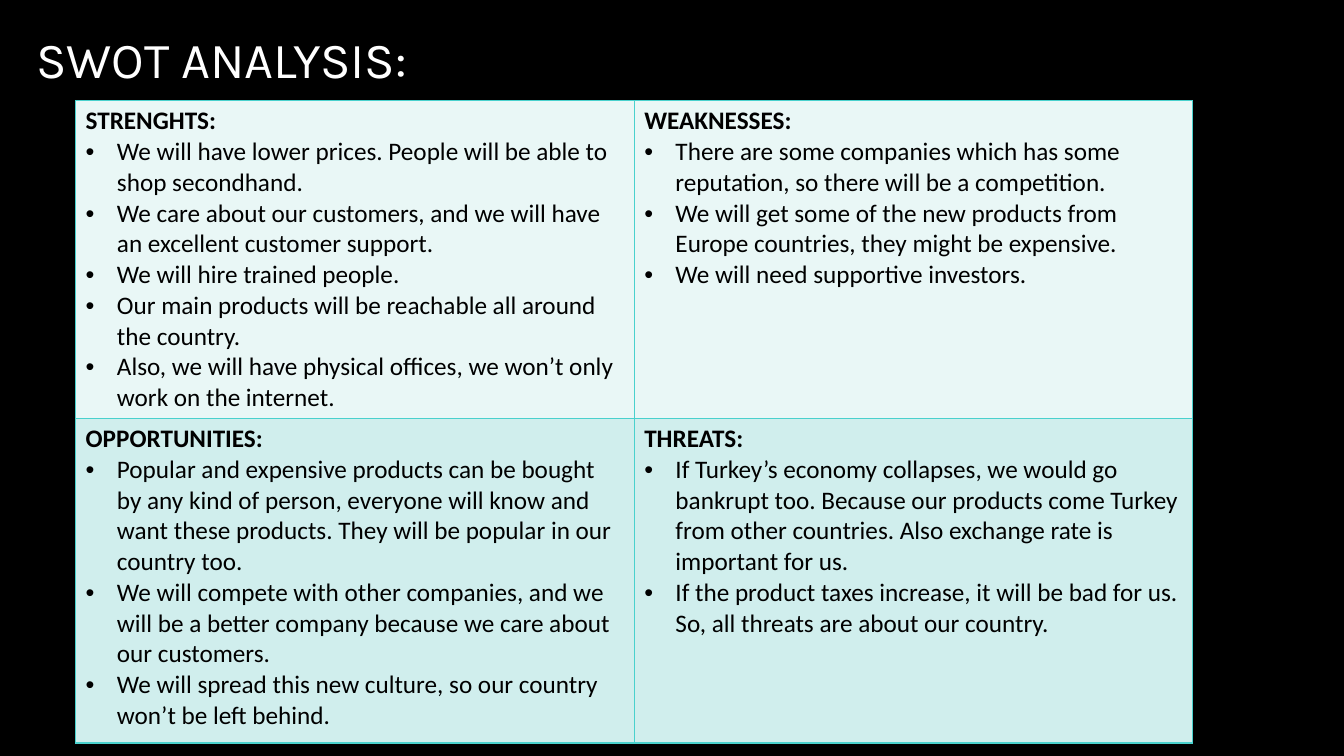
from pptx import Presentation
from pptx import util as u
from pptx.dml.color import RGBColor
from pptx.enum import text
from pptx.oxml.ns import qn
from lxml import etree

TITLE = "SWOT ANALYSIS:"
GRID = [
    [
        ("STRENGHTS:", [
            "We will have lower prices. People will be able to shop secondhand.",
            "We care about our customers, and we will have an excellent customer support.",
            "We will hire trained people.",
            "Our main products will be reachable all around the country.",
            "Also, we will have physical offices, we won’t only work on the internet.",
        ]),
        ("WEAKNESSES:", [
            "There are some companies which has some reputation, so there will be a competition.",
            "We will get some of the new products from Europe countries, they might be expensive.",
            "We will need supportive investors.",
        ]),
    ],
    [
        ("OPPORTUNITIES:", [
            "Popular and expensive products can be bought by any kind of person, everyone will know and want these products. They will be popular in our country too.",
            "We will compete with other companies, and we will be a better company because we care about our customers.",
            "We will spread this new culture, so our country won’t be left behind.",
        ]),
        ("THREATS:", [
            "If Turkey’s economy collapses, we would go bankrupt too. Because our products come Turkey from other countries. Also exchange rate is important for us.",
            "If the product taxes increase, it will be bad for us. So, all threats are about our country.",
        ]),
    ],
]

BLACK = RGBColor(0, 0, 0)
WHITE = RGBColor(255, 255, 255)
LINE = RGBColor(0x49, 0xD1, 0xCD)
FILLS = [RGBColor(0xE9, 0xF7, 0xF6), RGBColor(0xD0, 0xEE, 0xED)]
WIDTH = 11.08
ROWS = [3.15, 3.22]
INDENT = u.Inches(0.31)


def style(par, face, size, color, bold=False):
    font = par.font
    font.name, font.size, font.bold = face, u.Pt(size), bold
    font.color.rgb = color


def bullet(par):
    props = par._p.get_or_add_pPr()
    props.set("marL", str(INDENT))
    props.set("indent", str(-INDENT))
    face = etree.SubElement(props, qn("a:buFont"))
    face.set("typeface", "Arial")
    mark = etree.SubElement(props, qn("a:buChar"))
    mark.set("char", "•")


def border(cell):
    props = cell._tc.get_or_add_tcPr()
    for spot, side in enumerate(("lnL", "lnR", "lnT", "lnB")):
        line = etree.Element(qn("a:" + side), w=str(u.Pt(1)))
        fill = etree.SubElement(line, qn("a:solidFill"))
        etree.SubElement(fill, qn("a:srgbClr"), val=str(LINE))
        props.insert(spot, line)


def fill_cell(cell, head, items, color):
    cell.fill.solid()
    cell.fill.fore_color.rgb = color
    border(cell)
    frame = cell.text_frame
    par = frame.paragraphs[0]
    par.text = head
    style(par, "Calibri", 18, BLACK, True)
    for item in items:
        par = frame.add_paragraph()
        par.text = item
        bullet(par)
        style(par, "Calibri", 18, BLACK)


def main():
    deck = Presentation()
    deck.slide_width, deck.slide_height = u.Inches(13.33), u.Inches(7.5)
    slide = deck.slides.add_slide(deck.slide_layouts[5])
    back = slide.background.fill
    back.solid()
    back.fore_color.rgb = BLACK

    title = slide.shapes.title
    title.left, title.top = u.Inches(0.26), u.Inches(0.16)
    title.width, title.height = u.Inches(WIDTH), u.Inches(0.84)
    title.text = TITLE
    title.text_frame.vertical_anchor = text.MSO_ANCHOR.MIDDLE
    par = title.text_frame.paragraphs[0]
    par.alignment = text.PP_ALIGN.LEFT
    style(par, "Karla", 36, WHITE)

    table = slide.shapes.add_table(
        len(GRID), len(GRID[0]), u.Inches(0.75), u.Inches(1),
        u.Inches(WIDTH), u.Inches(sum(ROWS))).table
    table.first_row = table.horz_banding = False
    for r, row in enumerate(GRID):
        table.rows[r].height = u.Inches(ROWS[r])
        for c, (head, items) in enumerate(row):
            fill_cell(table.cell(r, c), head, items, FILLS[r])

    deck.save("out.pptx")


if __name__ == "__main__":
    main()
